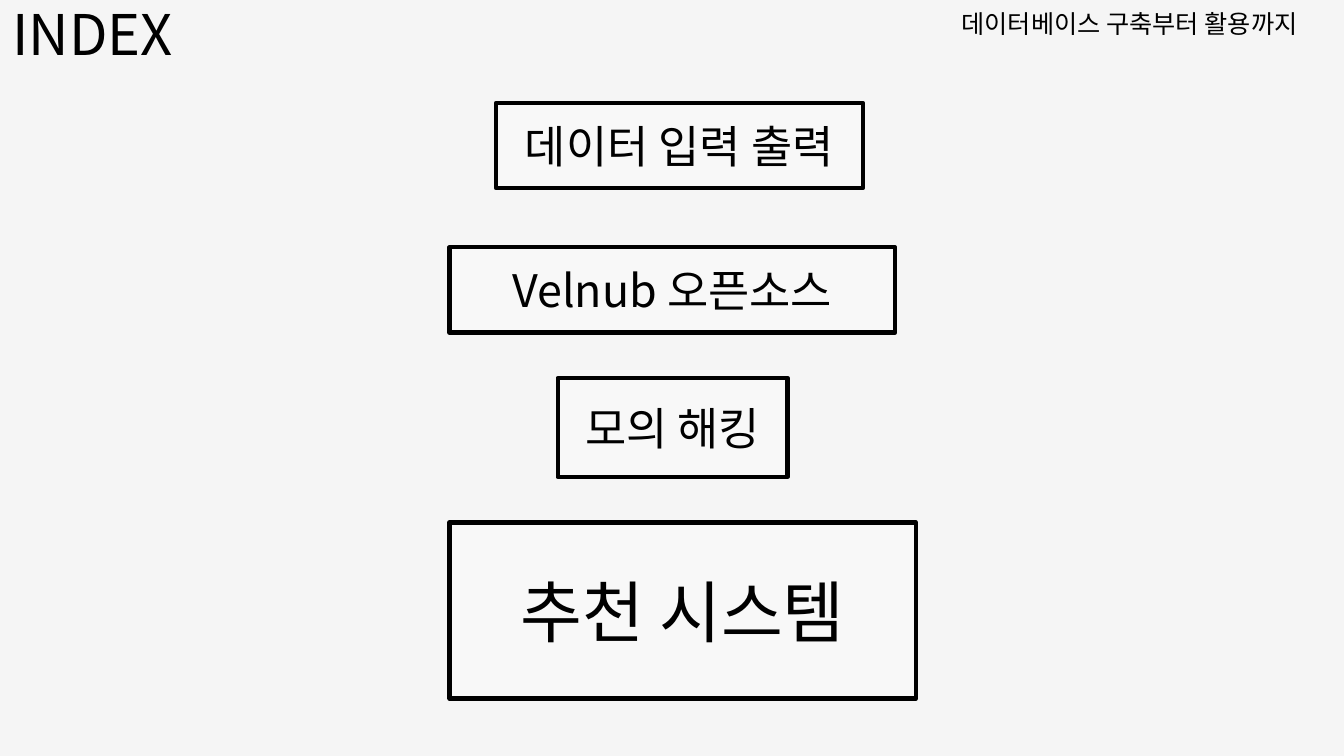
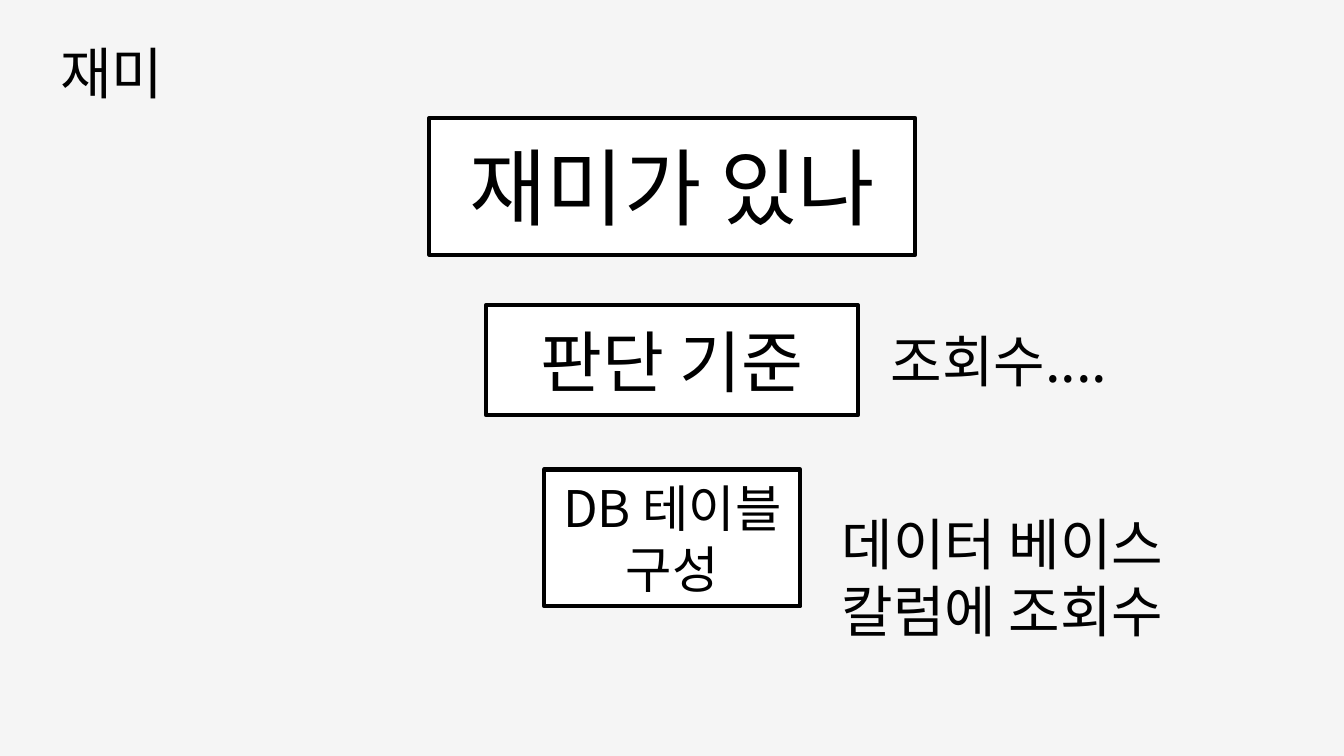
import pptx
import pptx.dml.color
import pptx.enum.shapes
import pptx.enum.text
import pptx.oxml.ns
import pptx.util
from lxml import etree

FONT = "Noto Sans CJK KR"
INK = pptx.dml.color.RGBColor(0x00, 0x00, 0x00)
PAPER = pptx.dml.color.RGBColor(0xF5, 0xF5, 0xF5)
PALE = pptx.dml.color.RGBColor(0xF8, 0xF8, 0xF8)
WHITE = pptx.dml.color.RGBColor(0xFF, 0xFF, 0xFF)
WIDTH = pptx.util.Inches(13.33)
HEIGHT = pptx.util.Inches(7.5)
TITLE_ONLY = 5
ALIGN = pptx.enum.text.PP_ALIGN
ANCHOR = pptx.enum.text.MSO_ANCHOR


def percent_box(left, top, width, height):
    return (int(WIDTH * left / 100), int(HEIGHT * top / 100),
            int(WIDTH * width / 100), int(HEIGHT * height / 100))


def write(shape, text, size, align=ALIGN.LEFT, anchor=ANCHOR.TOP, spacing=1.0, wrap=True):
    frame = shape.text_frame
    frame.text = text
    frame.word_wrap = wrap
    frame.auto_size = pptx.enum.text.MSO_AUTO_SIZE.NONE
    frame.vertical_anchor = anchor
    para = frame.paragraphs[0]
    para.alignment = align
    para.line_spacing = spacing
    para.font.name = FONT
    para.font.size = pptx.util.Pt(size)
    para.font.color.rgb = INK
    defaults = para._p.pPr.find(pptx.oxml.ns.qn("a:defRPr"))
    east_asian = etree.SubElement(defaults, pptx.oxml.ns.qn("a:ea"))
    east_asian.set("typeface", FONT)


def add_page(deck, title, area, **style):
    page = deck.slides.add_slide(deck.slide_layouts[TITLE_ONLY])
    heading = page.shapes.title
    heading.left, heading.top, heading.width, heading.height = percent_box(*area)
    write(heading, title, 40, wrap=False, **style)
    return page


def add_box(page, text, size, fill, area):
    box = page.shapes.add_shape(pptx.enum.shapes.MSO_SHAPE.RECTANGLE, *percent_box(*area))
    box.shadow.inherit = False
    box.fill.solid()
    box.fill.fore_color.rgb = fill
    box.line.color.rgb = INK
    box.line.width = pptx.util.Pt(3)
    write(box, text, size, ALIGN.CENTER, ANCHOR.MIDDLE)


def add_note(page, text, size, area):
    write(page.shapes.add_textbox(*percent_box(*area)), text, size)


def build_index(deck):
    page = add_page(deck, "INDEX", (0, 0, 13.8, 9.6),
                    align=ALIGN.CENTER, anchor=ANCHOR.BOTTOM, spacing=0.9)
    add_note(page, "데이터베이스 구축부터 활용까지", 18, (70.8, 0.5, 28.9, 5.3))
    for text, size, area in (
        ("데이터 입력 출력", 32, (36.9, 13.6, 27.3, 11.3)),
        ("Velnub 오픈소스", 32, (33.45, 32.7, 33.15, 11.3)),
        ("모의 해킹", 32, (41.5, 50, 17.1, 13.1)),
        ("추천 시스템", 48, (33.45, 69.1, 34.7, 23.3)),
    ):
        add_box(page, text, size, PALE, area)


def build_fun(deck):
    page = add_page(deck, "재미", (3.75, 4.4, 9.9, 10.3))
    for text, size, area in (
        ("재미가 있나", 60, (31.95, 15.6, 36.15, 18.1)),
        ("판단 기준", 48, (36.15, 40.4, 27.7, 14.5)),
        ("DB 테이블 구성", 36, (40.5, 62.1, 19.05, 18.1)),
    ):
        add_box(page, text, size, WHITE, area)
    add_note(page, "조회수....", 40, (65.55, 42.5, 18, 10.3))
    add_note(page, "데이터 베이스 칼럼에 조회수", 40, (61.9, 66.7, 29.05, 19.3))


def main():
    deck = pptx.Presentation()
    deck.slide_width = WIDTH
    deck.slide_height = HEIGHT
    backdrop = deck.slide_master.background.fill
    backdrop.solid()
    backdrop.fore_color.rgb = PAPER
    build_index(deck)
    build_fun(deck)
    deck.save("out.pptx")


if __name__ == "__main__":
    main()
